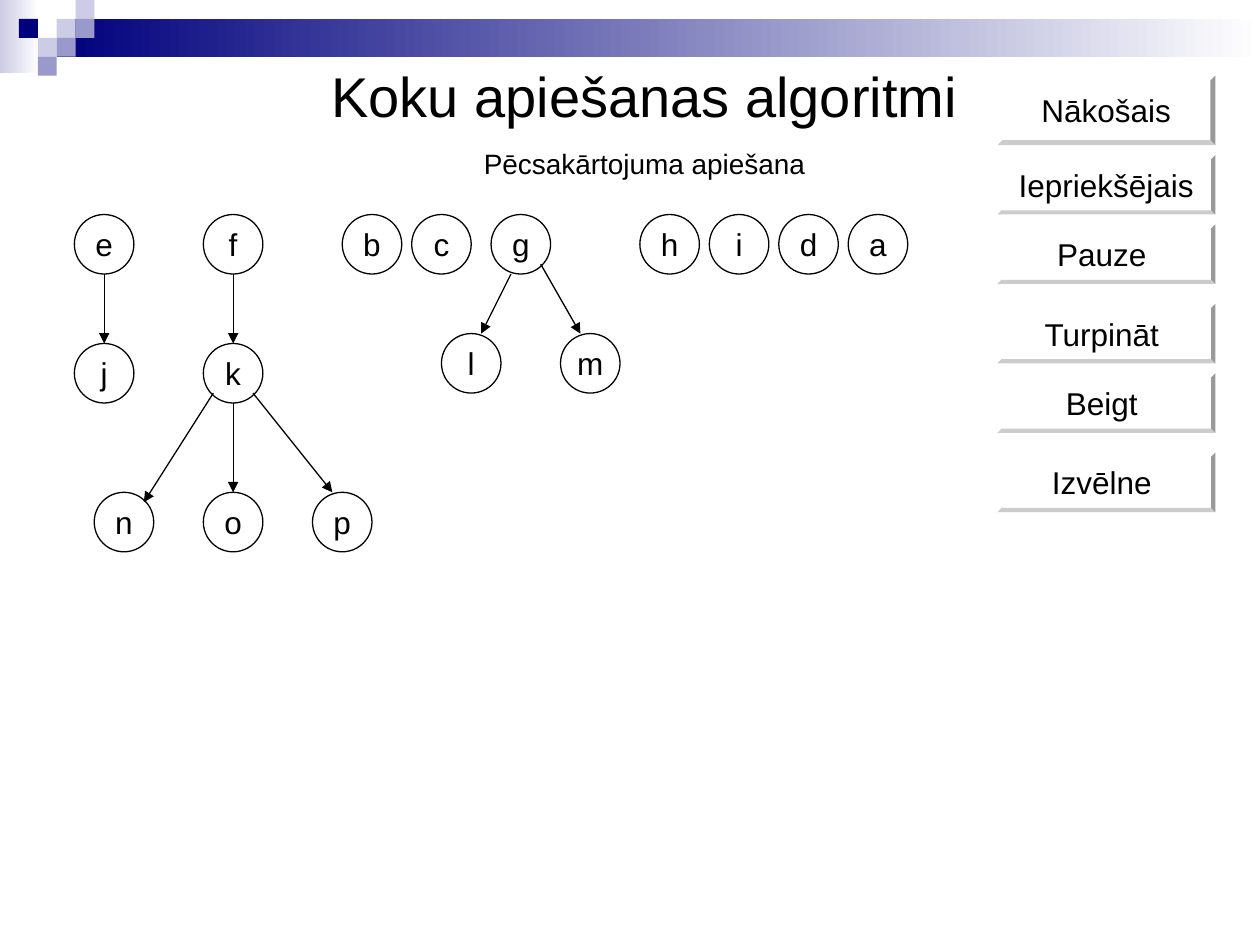
from lxml import etree
from pptx import Presentation
from pptx.dml.color import RGBColor
from pptx.enum.shapes import MSO_CONNECTOR, MSO_SHAPE
from pptx.enum.text import MSO_ANCHOR, MSO_AUTO_SIZE, PP_ALIGN
from pptx.oxml.ns import qn
from pptx.util import Inches, Mm, Pt

RECTANGLE, OVAL, BEVEL = MSO_SHAPE.RECTANGLE, MSO_SHAPE.OVAL, MSO_SHAPE.BEVEL
STRAIGHT = MSO_CONNECTOR.STRAIGHT
MIDDLE, BOTTOM = MSO_ANCHOR.MIDDLE, MSO_ANCHOR.BOTTOM
CENTER = PP_ALIGN.CENTER
NO_AUTOSIZE = MSO_AUTO_SIZE.NONE

COLORS = {"black": "000000", "white": "FFFFFF", "navy": "00007D",
          "lilac": "9999CC", "pale": "CCCCE6"}
FONT = "Arial"
NODE_SIZE = 12
BUTTON_LEFT, BUTTON_WIDTH = 201, 44
ROW_OFFSET = 0.25
SQUARE = 0.15

SQUARES = [(3, 1, "pale"), (4, 0, "pale"), (4, 1, "lilac"), (2, 2, "pale"),
           (1, 1, "navy"), (3, 2, "lilac"), (2, 3, "lilac")]
BUTTONS = [("Nākošais", 15, 14), ("Iepriekšējais", 31, 12), ("Pauze ", 45, 12),
           ("Turpināt ", 61, 12), ("Beigt ", 75, 12), ("Izvēlne ", 91, 12)]
NODES = {"e": (15, 43), "f": (41, 43), "b": (69, 43), "c": (83, 43),
         "g": (99, 43), "h": (129, 43), "i": (143, 43), "d": (157, 43),
         "a": (171, 43), "j": (15, 69), "k": (41, 69), "l": (89, 67),
         "m": (113, 67), "n": (19, 99), "o": (41, 99), "p": (63, 99)}
STRAIGHT_EDGES = [("e", "j"), ("f", "k"), ("k", "o")]
SLANTED_EDGES = [((103, 55), (97, 67)), ((109, 53), (117, 67)),
                 ((43, 79), (29, 101)), ((51, 79), (67, 99))]


def color(name):
    return RGBColor.from_string(COLORS[name])


def write(para, text, size=18, before=0, tint="black"):
    para.alignment = CENTER
    para.space_before = Pt(before)
    span = para.add_run()
    span.text = text
    span.font.name = FONT
    span.font.size = Pt(size)
    span.font.color.rgb = color(tint)


class TreePage:
    def __init__(self, deck):
        self.page = deck.slides.add_slide(deck.slide_layouts[5])
        self.shapes = self.page.shapes

    def cell(self, column, row):
        return Mm(column), Mm(row + ROW_OFFSET)

    def shape(self, kind, left, top, width, height, fill="white"):
        box = self.shapes.add_shape(kind, left, top, width, height)
        box.shadow.inherit = False
        box.fill.solid()
        box.fill.fore_color.rgb = color(fill)
        box.line.fill.background()
        return box

    def label(self, box, text):
        frame = box.text_frame
        frame.word_wrap = False
        frame.vertical_anchor = MIDDLE
        write(frame.paragraphs[0], text)

    def square(self, column, row, fill):
        left = Inches(column * SQUARE)
        top = Inches(row * SQUARE)
        self.shape(RECTANGLE, left, top, Inches(SQUARE), Inches(SQUARE), fill)

    def fade(self, left, top, width, height, tint):
        box = self.shape(RECTANGLE, *map(Inches, (left, top, width, height)))
        box.fill.gradient()
        box.fill.gradient_angle = 180
        for stop, name in zip(box.fill.gradient_stops, ("white", tint)):
            stop.color.rgb = color(name)

    def title(self, heading, subheading):
        box = self.shapes.title
        box.left, box.top = Inches(1.77), Inches(0.44)
        box.width, box.height = Inches(6.69), Inches(1.04)
        frame = box.text_frame
        frame.auto_size = NO_AUTOSIZE
        frame.word_wrap = True
        frame.vertical_anchor = BOTTOM
        write(frame.paragraphs[0], heading, size=32)
        write(frame.add_paragraph(), subheading, size=16, before=10)

    def button(self, text, row, height):
        box = self.shape(BEVEL, *self.cell(BUTTON_LEFT, row),
                         Mm(BUTTON_WIDTH), Mm(height))
        box.adjustments[0] = 0.07
        self.label(box, text)

    def node(self, text, column, row):
        box = self.shape(OVAL, *self.cell(column, row),
                         Mm(NODE_SIZE), Mm(NODE_SIZE))
        box.line.color.rgb = color("black")
        box.line.width = Pt(0.75)
        self.label(box, text)
        return box

    def arrow(self, start, end, target=None):
        line = self.shapes.add_connector(STRAIGHT, *self.cell(*start),
                                         *self.cell(*end))
        line.line.color.rgb = color("black")
        line.line.width = Pt(0.75)
        properties = line._element.spPr
        tail = etree.SubElement(properties.find(qn("a:ln")), qn("a:tailEnd"))
        tail.set("type", "triangle")
        etree.SubElement(properties, qn("a:effectLst"))
        if target is not None:
            line.end_connect(target, 0)


def main():
    deck = Presentation()
    deck.slide_width, deck.slide_height = Inches(10), Inches(7.5)
    tree = TreePage(deck)
    tree.fade(0, 0, 0.31, 0.58, "pale")
    tree.fade(0.45, 0.15, 9.55, 0.3, "navy")
    for square in SQUARES:
        tree.square(*square)
    tree.title("Koku apiešanas algoritmi", "Pēcsakārtojuma apiešana")
    for button in BUTTONS:
        tree.button(*button)
    nodes = {name: tree.node(name, *place) for name, place in NODES.items()}
    for parent, child in STRAIGHT_EDGES:
        column, row = NODES[parent]
        middle = column + NODE_SIZE / 2
        tree.arrow((middle, row + NODE_SIZE), (middle, NODES[child][1]),
                   nodes[child])
    for start, end in SLANTED_EDGES:
        tree.arrow(start, end)
    deck.save("out.pptx")


if __name__ == "__main__":
    main()
